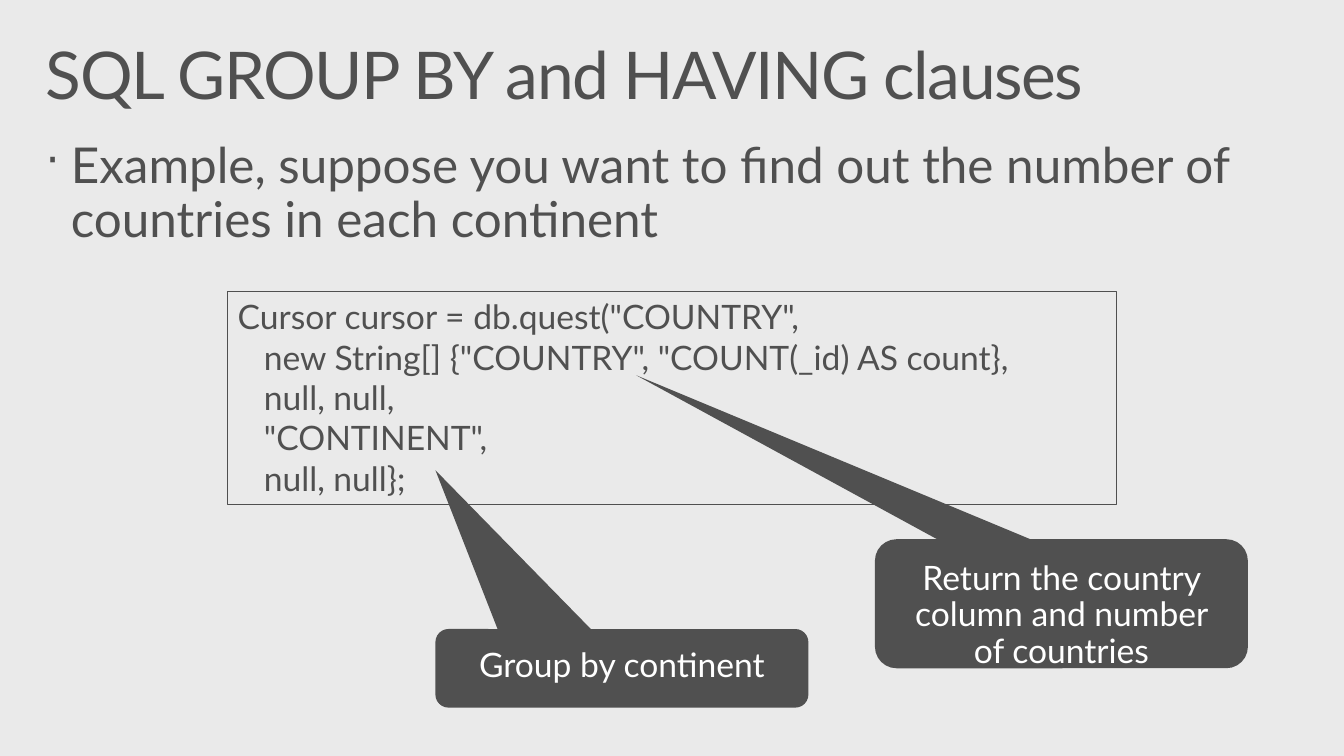
from lxml.etree import SubElement
from pptx import Presentation
from pptx.dml.color import RGBColor
from pptx.enum.shapes import MSO_SHAPE
from pptx.enum.text import MSO_ANCHOR, PP_ALIGN
from pptx.oxml.ns import qn
from pptx.util import Inches, Pt

COLORS = {"paper": "EAEAEA", "ink": "505050", "white": "FFFFFF"}


class SlideBuilder:
    """Draws styled elements on one slide, on a grid of 100 columns by 100 rows."""

    font_name = "Lato"

    def __init__(self, deck):
        self.column = deck.slide_width / 100
        self.row = deck.slide_height / 100
        self.slide = deck.slides.add_slide(deck.slide_layouts[6])
        self.paint(self.slide.background.fill, "paper")

    def paint(self, fill, color):
        fill.solid()
        fill.fore_color.rgb = RGBColor.from_string(COLORS[color])

    def place(self, left, top, width, height):
        return [round(share * unit) for share, unit in
                zip((left, top, width, height), (self.column, self.row) * 2)]

    def apply(self, target, values):
        for attribute, value in values.items():
            setattr(target, attribute, value)

    def fill_text(self, holder, lines, size, color="ink", inset=(0.1, 0.05), **paragraph_format):
        frame = holder.text_frame
        side, edge = (Inches(length) for length in inset)
        self.apply(frame, {"text": "\n".join(lines), "word_wrap": True,
                           "vertical_anchor": MSO_ANCHOR.TOP,
                           "margin_left": side, "margin_right": side,
                           "margin_top": edge, "margin_bottom": edge})
        for paragraph in frame.paragraphs:
            self.apply(paragraph, {"alignment": PP_ALIGN.LEFT, **paragraph_format})
            for run in paragraph.runs:
                self.apply(run.font, {"name": self.font_name, "size": Pt(size)})
                run.font.color.rgb = RGBColor.from_string(COLORS[color])
        return frame.paragraphs

    def indent(self, paragraph, left, first=0.0):
        properties = paragraph._p.get_or_add_pPr()
        properties.set("marL", str(Inches(left)))
        properties.set("indent", str(Inches(first)))
        return properties

    def text(self, area, line, size):
        box = self.slide.shapes.add_textbox(*self.place(*area))
        return self.fill_text(box, [line], size, inset=(0.16, 0.1), line_spacing=0.9)[0]

    def title(self, area, line):
        heading = self.text(area, line, 47)
        heading.runs[0]._r.get_or_add_rPr().set("spc", "-100")

    def bullet(self, area, line):
        properties = self.indent(self.text(area, line, 35.3), 0.25, -0.25)
        SubElement(properties, qn("a:buSzPct")).set("val", "90000")
        SubElement(properties, qn("a:buChar")).set("char", "·")

    def panel(self, kind, area):
        panel = self.slide.shapes.add_shape(kind, *self.place(*area))
        panel.shadow.inherit = False
        return panel

    def code(self, area, opening, arguments):
        listing = self.panel(MSO_SHAPE.RECTANGLE, area)
        listing.fill.background()
        self.paint(listing.line.fill, "ink")
        listing.line.width = Pt(0.75)
        for argument in self.fill_text(listing, [opening, *arguments], 24)[1:]:
            self.indent(argument, 0.26)

    def callout(self, area, tip, line):
        callout = self.panel(MSO_SHAPE.ROUNDED_RECTANGULAR_CALLOUT, area)
        for index, value in enumerate((*tip, 0.167)):
            callout.adjustments[index] = value
        self.paint(callout.fill, "ink")
        callout.line.fill.background()
        self.fill_text(callout, [line], 24, "white", (0.2, 0.16),
                       alignment=PP_ALIGN.CENTER, line_spacing=0.9)


def main():
    deck = Presentation()
    deck.slide_width, deck.slide_height = Inches(13.33), Inches(7.5)
    builder = SlideBuilder(deck)
    builder.title((2.2, 4.27, 95.6, 13.07), "SQL GROUP BY and HAVING clauses")
    builder.bullet((2.2, 17.33, 95.6, 16.93),
                   "Example, suppose you want to find out the number of countries in each continent")
    builder.code((16.95, 38.53, 66.15, 28.27), 'Cursor cursor = db.quest("COUNTRY",',
                 ['new String[] {"COUNTRY", "COUNT(_id) AS count},',
                  "null, null,", '"CONTINENT",', "null, null};"])
    builder.callout((65.1, 71.33, 27.75, 17.07), (-1.14, -1.77),
                    "Return the country column and number of countries")
    builder.callout((32.4, 83.2, 27.75, 10.4), (-0.5, -2.52), "Group by continent")
    deck.save("out.pptx")


if __name__ == "__main__":
    main()
